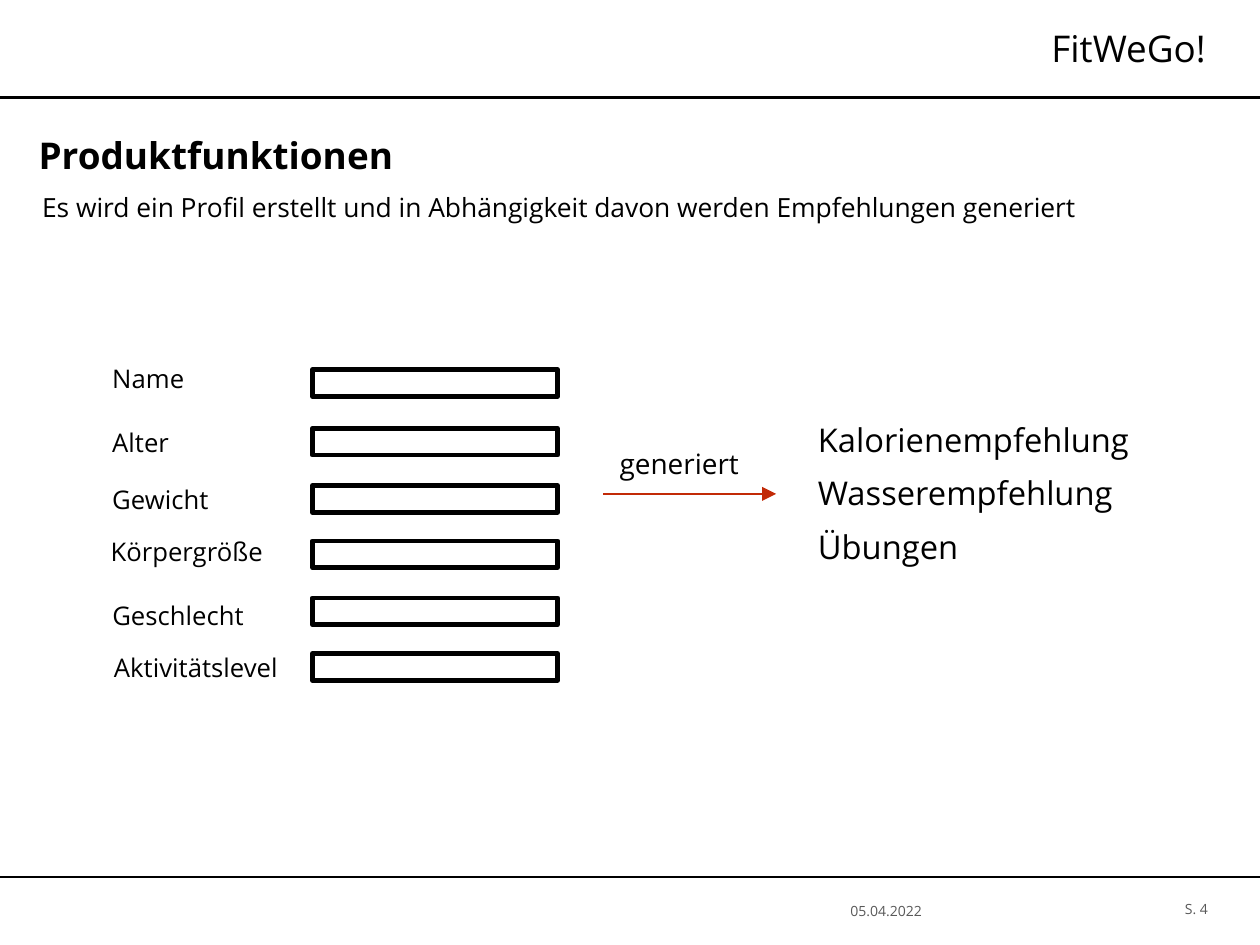
from pptx import Presentation
from pptx.dml.color import RGBColor
from pptx.enum.shapes import MSO_CONNECTOR, MSO_SHAPE
from pptx.enum.text import MSO_ANCHOR, PP_ALIGN
from pptx.oxml.ns import qn
from pptx.util import Inches, Pt
from lxml.etree import SubElement

BLACK = RGBColor(0x00, 0x00, 0x00)
WHITE = RGBColor(0xFF, 0xFF, 0xFF)
GREY = RGBColor(0x59, 0x59, 0x59)
RED = RGBColor(0xC2, 0x2A, 0x07)
FONT = "Open Sans"

# Slide in 4:3 format
deck = Presentation()
deck.slide_width = Inches(7.5)
deck.slide_height = Inches(7.5 * 3 / 4)
slide = deck.slides.add_slide(deck.slide_layouts[6])


def add_text(box, lines, size, color=BLACK, bold=False, align=PP_ALIGN.LEFT,
             anchor=MSO_ANCHOR.TOP, pad=(0.1, 0.05, 0.1, 0.05), wrap=True, gap=0):
    frame = slide.shapes.add_textbox(*map(Inches, box)).text_frame
    frame.word_wrap = wrap
    frame.vertical_anchor = anchor
    (frame.margin_left, frame.margin_top,
     frame.margin_right, frame.margin_bottom) = map(Inches, pad)
    for i, line in enumerate(lines):
        para = frame.paragraphs[0] if i == 0 else frame.add_paragraph()
        para.alignment = align
        para.space_before = para.space_after = Pt(gap)
        run = para.add_run()
        run.text = line
        run.font.name, run.font.size, run.font.bold = FONT, Pt(size), bold
        run.font.color.rgb = color


def add_line(left, right, top, color, width):
    line = slide.shapes.add_connector(
        MSO_CONNECTOR.STRAIGHT, Inches(left), Inches(top), Inches(right), Inches(top))
    line.line.color.rgb = color
    line.line.width = Pt(width)
    SubElement(line._element.spPr, qn("a:effectLst"))
    return line


# Header and footer rules
for top in (0.58, 5.22):
    add_line(0, 7.5, top, BLACK, 1)

# Footer
MID = MSO_ANCHOR.MIDDLE
EDGE = (0.07, 0.04, 0.07, 0.04)
add_text((3.93, 5.22, 2.69, 0.4), ["05.04.2022"], 6, GREY,
         align=PP_ALIGN.CENTER, anchor=MID, pad=EDGE)
add_text((6.61, 5.21, 0.65, 0.4), ["S. 4"], 6, GREY,
         align=PP_ALIGN.RIGHT, anchor=MID, pad=EDGE)

# Title, heading and intro
FLUSH = (0, 0.04, 0.07, 0.04)
add_text((2.21, 0.11, 5.04, 0.35), ["FitWeGo!"], 15.8,
         align=PP_ALIGN.RIGHT, anchor=MID, pad=FLUSH)
add_text((0.23, 0.65, 2.78, 0.54), ["Produktfunktionen"], 15.8,
         bold=True, anchor=MID, pad=FLUSH)
add_text((0.25, 1.1, 7.91, 3.9),
         ["Es wird ein Profil erstellt und in Abhängigkeit davon werden "
          "Empfehlungen generiert"], 11.3, pad=FLUSH)

# Profile form: label (left, top, width) and top of its empty field
rows = [("Name", 0.57, 2.11, 0.63, 2.2), ("Alter", 0.57, 2.49, 0.56, 2.55),
        ("Gewicht", 0.57, 2.83, 0.8, 2.89), ("Körpergröße", 0.56, 3.14, 1.14, 3.22),
        ("Geschlecht", 0.57, 3.52, 1.02, 3.56),
        ("Aktivitätslevel", 0.58, 3.83, 1.25, 3.89)]
for label, left, top, width, slot in rows:
    add_text((left, top, width, 0.29), [label], 11, wrap=False)
    field = slide.shapes.add_shape(MSO_SHAPE.RECTANGLE, Inches(1.86),
                                   Inches(slot), Inches(1.46), Inches(0.16))
    field.shadow.inherit = False
    field.fill.solid()
    field.fill.fore_color.rgb = WHITE
    field.line.color.rgb = BLACK
    field.line.width = Pt(2)
    SubElement(field.line._get_or_add_ln(), qn("a:round"))

# Arrow from the form to the results
arrow = add_line(3.59, 4.62, 2.94, RED, 0.75)
SubElement(arrow.line._get_or_add_ln(), qn("a:tailEnd"), type="triangle")
add_text((3.59, 2.61, 1.26, 0.3), ["generiert"], 12)

# Results
add_text((4.77, 2.45, 2.13, 0.98),
         ["Kalorienempfehlung", "Wasserempfehlung", "Übungen"], 14,
         wrap=False, gap=3)

deck.save("out.pptx")
